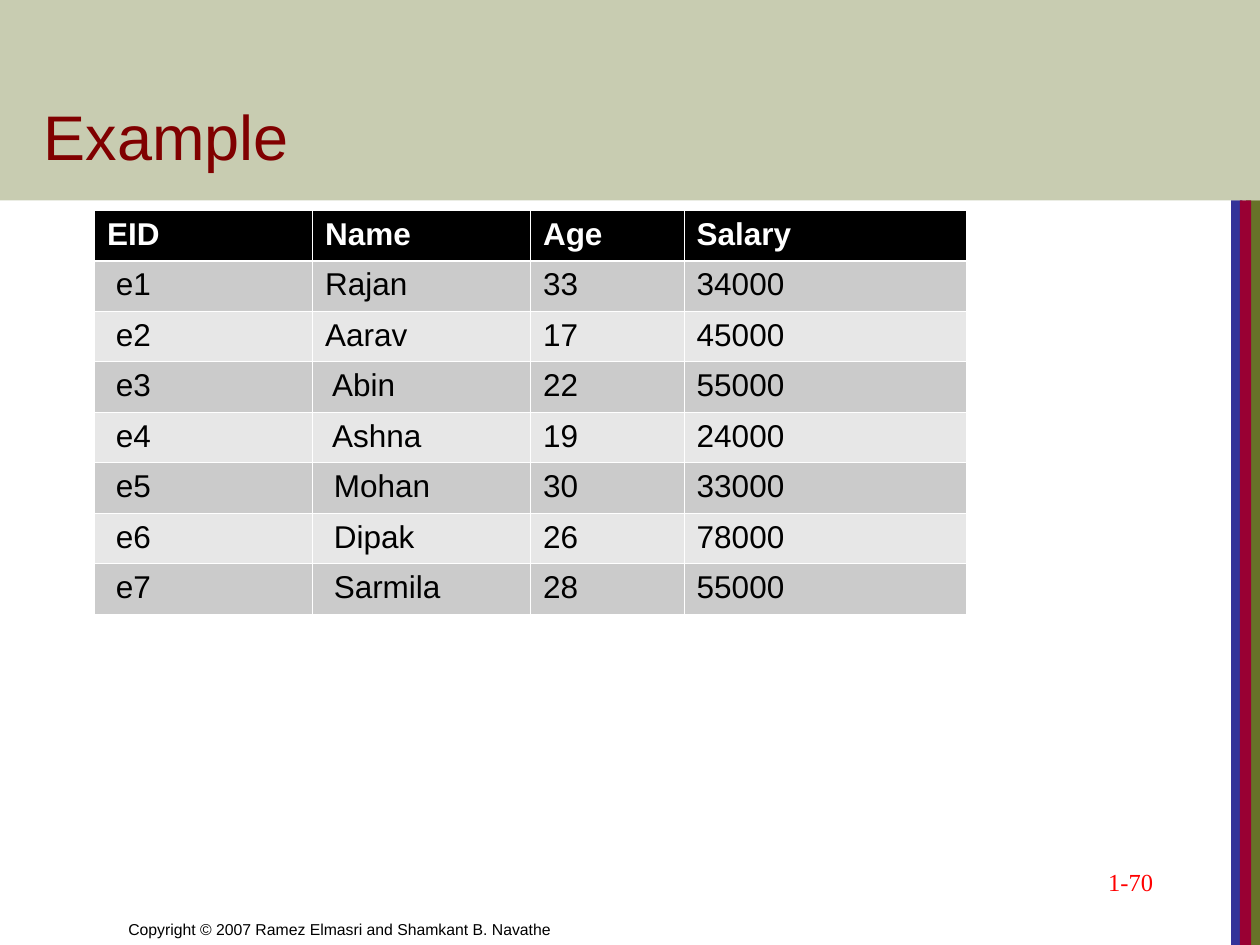
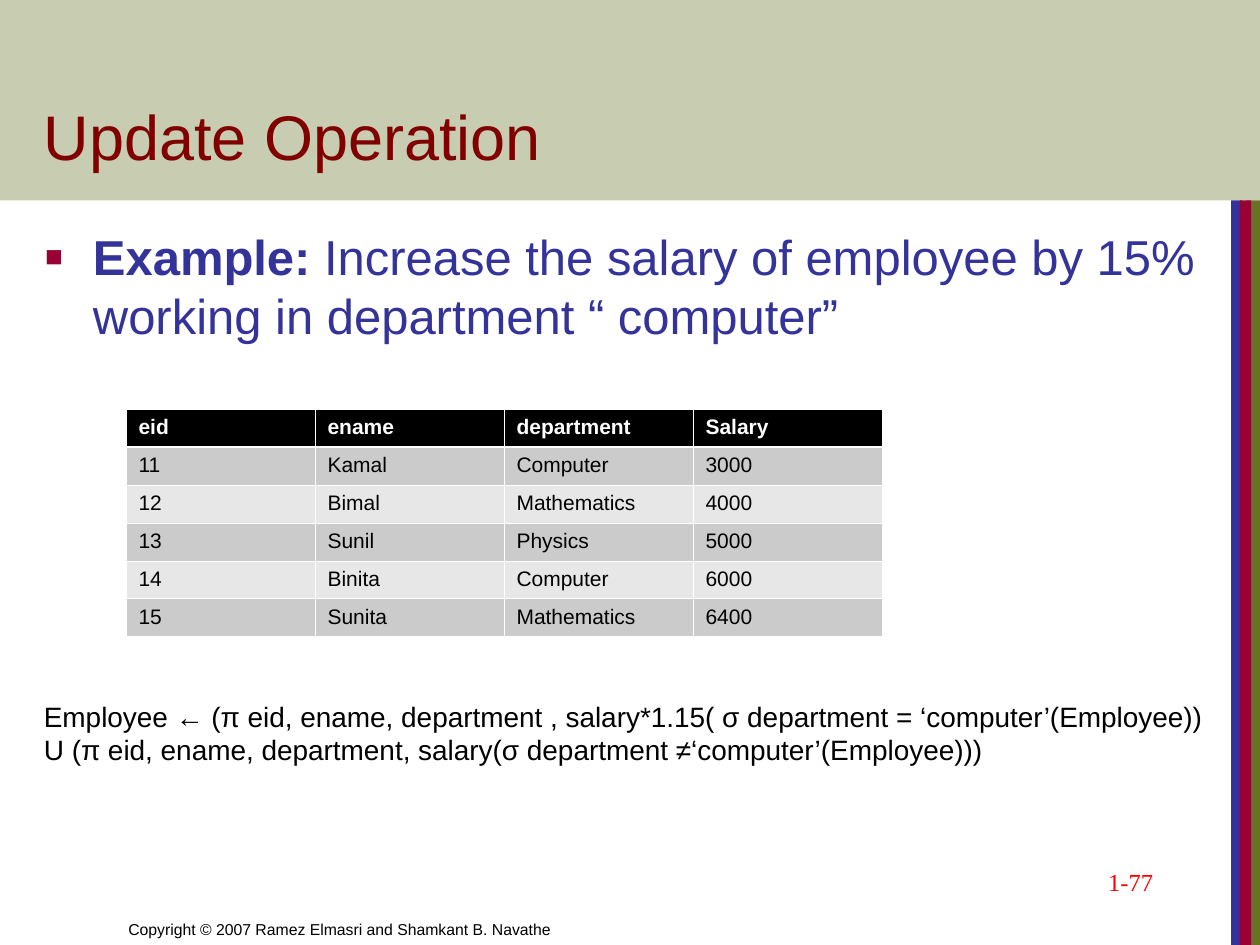
from dataclasses import dataclass

from lxml import etree
from pptx import Presentation
from pptx import util as u
from pptx.dml.color import RGBColor
from pptx.enum import shapes, text
from pptx.oxml import ns

PX = 9144  # EMU per px, 100 px to the inch
SLIDE_W, SLIDE_H = 1000, 750
BAND_H = 159

BLACK = RGBColor(0x00, 0x00, 0x00)
WHITE = RGBColor(0xFF, 0xFF, 0xFF)
OLIVE = RGBColor(0x67, 0x72, 0x28)
INDIGO = RGBColor(0x33, 0x33, 0x99)
CRIMSON = RGBColor(0x99, 0x00, 0x33)
MAROON = RGBColor(0x80, 0x00, 0x00)
RED = RGBColor(0xFF, 0x00, 0x00)
ROW_GREYS = (RGBColor(0xCB, 0xCB, 0xCB), RGBColor(0xE7, 0xE7, 0xE7))

SANS, SERIF = "Arial", "Times New Roman"
COPYRIGHT = "Copyright © 2007 Ramez Elmasri and Shamkant B. Navathe"
THIN, HEADER_RULE = 0.45, 1.47


@dataclass(frozen=True)
class Box:
    left: int
    top: int
    width: int
    height: int

    def emu(self) -> tuple[int, int, int, int]:
        return self.left * PX, self.top * PX, self.width * PX, self.height * PX


@dataclass(frozen=True)
class Style:
    size: int
    color: RGBColor
    font: str = SANS
    bold: bool = False


@dataclass(frozen=True)
class Stripe:
    box: Box
    color: RGBColor
    alpha: int = 100


@dataclass(frozen=True)
class Grid:
    left: int
    top: int
    columns: tuple[int, ...]
    row_height: int
    size: int
    rows: tuple[tuple[str, ...], ...]


STRIPES = (
    Stripe(Box(989, BAND_H, 11, SLIDE_H - BAND_H), OLIVE),
    Stripe(Box(977, BAND_H, 9, SLIDE_H - BAND_H), INDIGO),
    Stripe(Box(984, BAND_H, 9, SLIDE_H - BAND_H), CRIMSON),
    Stripe(Box(0, 0, SLIDE_W, BAND_H), OLIVE, 36),
)

EMPLOYEES = Grid(75, 167, (173, 173, 122, 224), 40, 18, (
    ("EID", "Name", "Age", "Salary"),
    (" e1", "Rajan", "33", "34000"),
    (" e2", "Aarav", "17", "45000"),
    (" e3", " Abin", "22", "55000"),
    (" e4", " Ashna", "19", "24000"),
    (" e5", " Mohan", "30", "33000"),
    (" e6", " Dipak", "26", "78000"),
    (" e7", " Sarmila", "28", "55000"),
))

DEPARTMENTS = Grid(100, 325, (150,) * 4, 30, 12, (
    ("eid", "ename", "department", "Salary"),
    ("11", "Kamal", "Computer", "3000"),
    ("12", "Bimal", "Mathematics", "4000"),
    ("13", "Sunil", "Physics", "5000"),
    ("14", "Binita", "Computer", "6000"),
    ("15", "Sunita", "Mathematics", "6400"),
))

FORMULA = (
    "Employee ← (π eid, ename, department , salary*1.15( σ department = ‘computer’(Employee))",
    "U (π eid, ename, department, salary(σ department ≠‘computer’(Employee)))",
)


# Text
def add_run(paragraph, wording: str, style: Style) -> None:
    run = paragraph.add_run()
    run.text = wording
    run.font.size = u.Pt(style.size)
    run.font.name = style.font
    run.font.bold = style.bold
    run.font.color.rgb = style.color


def add_frame(slide, box: Box, anchor=text.MSO_ANCHOR.TOP):
    frame = slide.shapes.add_textbox(*box.emu()).text_frame
    frame.word_wrap = True
    frame.vertical_anchor = anchor
    return frame


def add_line(slide, box: Box, wording: str, style: Style,
             anchor=text.MSO_ANCHOR.TOP, align=text.PP_ALIGN.LEFT) -> None:
    paragraph = add_frame(slide, box, anchor).paragraphs[0]
    paragraph.alignment = align
    add_run(paragraph, wording, style)


def set_bullet(paragraph, indent: int) -> None:
    props = paragraph._p.get_or_add_pPr()
    props.set("marL", str(indent * PX))
    props.set("indent", str(-indent * PX))
    color = etree.SubElement(props, ns.qn("a:buClr"))
    etree.SubElement(color, ns.qn("a:srgbClr"), val=str(CRIMSON))
    etree.SubElement(props, ns.qn("a:buSzPct"), val="60000")
    etree.SubElement(props, ns.qn("a:buFont"), typeface=SANS)
    etree.SubElement(props, ns.qn("a:buChar"), char="■")


# Shared slide furniture
def add_stripe(slide, stripe: Stripe) -> None:
    bar = slide.shapes.add_shape(shapes.MSO_SHAPE.RECTANGLE, *stripe.box.emu())
    bar.shadow.inherit = False
    bar.line.fill.background()
    bar.fill.solid()
    bar.fill.fore_color.rgb = stripe.color
    if stripe.alpha < 100:
        color = bar._element.spPr.find(".//" + ns.qn("a:srgbClr"))
        etree.SubElement(color, ns.qn("a:alpha"), val=str(stripe.alpha * 1000))


def add_base_slide(deck, title: str, number: str):
    slide = deck.slides.add_slide(deck.slide_layouts[6])
    for stripe in STRIPES:
        add_stripe(slide, stripe)
    bottom = text.MSO_ANCHOR.BOTTOM
    add_line(slide, Box(92, 700, 492, 50), COPYRIGHT, Style(9, BLACK), bottom)
    add_line(slide, Box(25, 33, 853, 109), title, Style(36, MAROON), bottom)
    add_line(slide, Box(717, 683, 208, 50), number, Style(14, RED, SERIF),
             align=text.PP_ALIGN.RIGHT)
    return slide


# Tables
def set_borders(cell, top: float, bottom: float) -> None:
    props = cell._tc.get_or_add_tcPr()
    for side, width in (("L", THIN), ("R", THIN), ("T", top), ("B", bottom)):
        edge = etree.SubElement(props, ns.qn(f"a:ln{side}"), w=str(u.Pt(width)))
        fill = etree.SubElement(edge, ns.qn("a:solidFill"))
        etree.SubElement(fill, ns.qn("a:srgbClr"), val=str(WHITE))


def add_grid(slide, grid: Grid) -> None:
    box = Box(grid.left, grid.top, sum(grid.columns), grid.row_height * len(grid.rows))
    table = slide.shapes.add_table(len(grid.rows), len(grid.columns), *box.emu()).table
    for column, width in zip(table.columns, grid.columns):
        column.width = width * PX
    for r, row in enumerate(grid.rows):
        table.rows[r].height = grid.row_height * PX
        header = r == 0
        style = Style(grid.size, WHITE if header else BLACK, bold=header)
        for c, wording in enumerate(row):
            cell = table.cell(r, c)
            set_borders(cell, HEADER_RULE if r == 1 else THIN,
                        HEADER_RULE if header else THIN)
            cell.fill.solid()
            cell.fill.fore_color.rgb = BLACK if header else ROW_GREYS[(r - 1) % 2]
            add_run(cell.text_frame.paragraphs[0], wording, style)


# Slides
def build_example(deck) -> None:
    slide = add_base_slide(deck, "Example", "1-70")
    add_grid(slide, EMPLOYEES)


def build_update_operation(deck) -> None:
    slide = add_base_slide(deck, "Update Operation", "1-77")

    task_frame = add_frame(slide, Box(26, 175, 940, 500))
    task_frame.margin_right = 0
    task = task_frame.paragraphs[0]
    task.space_before = u.Pt(7)
    set_bullet(task, 38)
    add_run(task, "Example:", Style(28, INDIGO, bold=True))
    add_run(task, " Increase the salary of employee by 15% working in department “ computer”",
            Style(28, INDIGO))

    add_grid(slide, DEPARTMENTS)

    formula_frame = add_frame(slide, Box(25, 550, 949, 64))
    formula_frame.auto_size = text.MSO_AUTO_SIZE.SHAPE_TO_FIT_TEXT
    for i, wording in enumerate(FORMULA):
        paragraph = formula_frame.add_paragraph() if i else formula_frame.paragraphs[0]
        add_run(paragraph, wording, Style(16, BLACK))


def main() -> None:
    deck = Presentation()
    deck.slide_width, deck.slide_height = SLIDE_W * PX, SLIDE_H * PX
    build_example(deck)
    build_update_operation(deck)
    deck.save("out.pptx")


if __name__ == "__main__":
    main()
